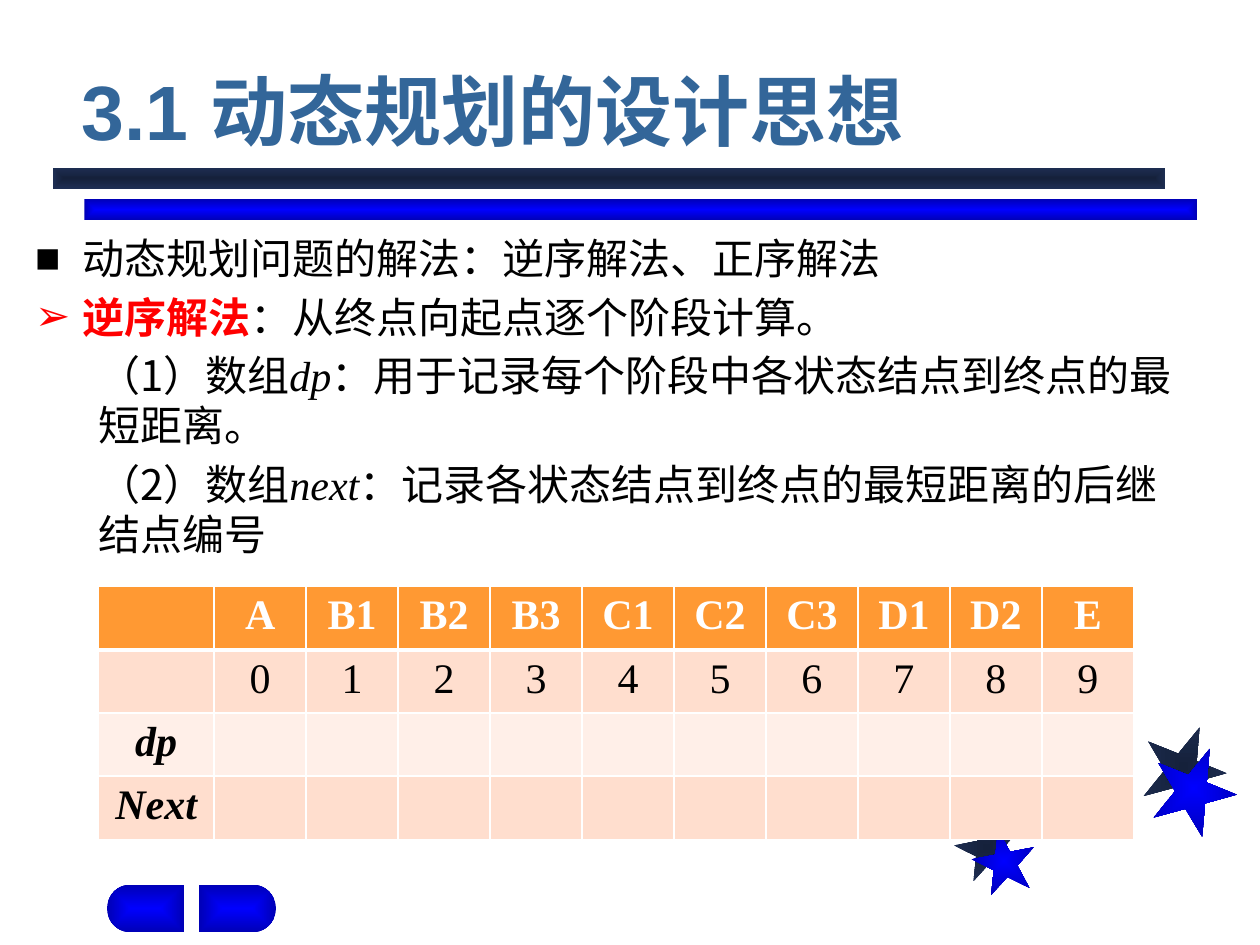
from math import cos, pi, sin

from pptx import Presentation
from pptx.dml.color import RGBColor
from pptx.enum.shapes import MSO_SHAPE as Shape
from pptx.enum.text import MSO_ANCHOR as Anchor, PP_ALIGN as Align
from pptx.oxml import parse_xml
from pptx.oxml.ns import nsdecls, qn
from pptx.util import Inches, Pt

# Content
TITLE = "3.1 动态规划的设计思想"
SANS, SERIF, CJK = "Arial", "Times New Roman", "Noto Sans CJK SC"
RED = {"color": "red", "bold": True}
ITALIC = {"font": SERIF, "italic": True}
# Each body paragraph: bullet, then spans of (text, format)
BODY = [
    ("■", [("动态规划问题的解法：逆序解法、正序解法", {})]),
    ("➢", [("逆序解法", RED), ("：从终点向起点逐个阶段计算。", {})]),
    (None, [("（1）数组", {}), ("dp", ITALIC), ("：", {"font": SERIF}),
            ("用于记录每个阶段中各状态结点到终点的最短距离。", {})]),
    (None, [("（2）数组", {}), ("next", ITALIC), ("：", {"font": SERIF}),
            ("记录各状态结点到终点的最短距离的后继结点编号", {})]),
]
STATES = ["A", "B1", "B2", "B3", "C1", "C2", "C3", "D1", "D2", "E"]
BLANKS = [""] * len(STATES)
ROWS = [
    ["", *STATES],
    ["", *map(str, range(len(STATES)))],
    ["dp", *BLANKS],
    ["Next", *BLANKS],
]
COLORS = {
    "title": "336699", "black": "000000", "white": "FFFFFF", "red": "FF0000",
    "header": "FF9933", "odd": "FFDECE", "even": "FFEFE8",
}
GRADIENTS = {"navy": ("15213B", "1E2E53"), "blue": ("0000FF", "0000B6")}
# Decorations: shape, gradient, left, top, width, height, rotation
DECORATIONS = [
    (Shape.STAR_5_POINT, "navy", 7.58, 6.47, 0.5, 0.5, 349),
    (Shape.STAR_5_POINT, "navy", 9.06, 5.75, 0.67, 0.67, 22),
    (Shape.STAR_5_POINT, "blue", 7.72, 6.58, 0.5, 0.5, 349),
    (Shape.STAR_5_POINT, "blue", 9.14, 5.92, 0.67, 0.67, 22),
    (Shape.RECTANGLE, "blue", 0.67, 1.58, 8.83, 0.17, 0),
    (Shape.RECTANGLE, "navy", 0.42, 1.33, 8.83, 0.17, 0),
]
# Half pills: flat edge, direction of the round end
PILLS = [(1.46, -1), (1.58, 1)]
PILL_TOP, PILL_WIDTH, PILL_HEIGHT = 7.02, 0.61, 0.38


def add_text(para, text, size=24, font=CJK, color="black", bold=False, italic=False):
    span = para.add_run()
    span.text = text
    style = span.font
    style.size, style.name, style.bold, style.italic = Pt(size), font, bold, italic
    style.color.rgb = RGBColor.from_string(COLORS[color])
    latin = span._r.rPr.find(qn("a:latin"))
    latin.addnext(parse_xml(f'<a:ea {nsdecls("a")} typeface="{CJK}"/>'))


def paint(shape, gradient, kind="shape"):
    shape.shadow.inherit = False
    shape.line.fill.background()
    shape.fill.gradient()
    for stop, color in zip(shape.fill.gradient_stops, GRADIENTS[gradient]):
        stop.color.rgb = RGBColor.from_string(color)
    linear = shape._element.spPr.find(qn("a:gradFill")).find(qn("a:lin"))
    linear.addprevious(parse_xml(
        f'<a:path {nsdecls("a")} path="{kind}">'
        '<a:fillToRect l="50000" t="50000" r="50000" b="50000"/></a:path>'))
    linear.getparent().remove(linear)


def add_box(page, left, top, width, height, margin_top=0.05, margin_bottom=0.05):
    box = page.shapes.add_textbox(*map(Inches, (left, top, width, height)))
    frame = box.text_frame
    frame.word_wrap = True
    frame.margin_top, frame.margin_bottom = Inches(margin_top), Inches(margin_bottom)
    return frame


def set_bullet(para, bullet):
    props = para._p.get_or_add_pPr()
    margin, indent = (0.38, -0.38) if bullet else (0.5, 0)
    props.set("marL", str(Inches(margin)))
    props.set("indent", str(Inches(indent)))
    if bullet:
        props.append(parse_xml(f'<a:buFont {nsdecls("a")} typeface="{SANS}"/>'))
        props.append(parse_xml(f'<a:buChar {nsdecls("a")} char="{bullet}"/>'))


def set_borders(cell, bottom):
    props = cell._tc.get_or_add_tcPr()
    for index, (side, width) in enumerate([("L", 1), ("R", 1), ("T", 1), ("B", bottom)]):
        props.insert(index, parse_xml(
            f'<a:ln{side} {nsdecls("a")} w="{Pt(width)}"><a:solidFill>'
            f'<a:srgbClr val="{COLORS["white"]}"/></a:solidFill></a:ln{side}>'))


def add_pill(page, edge, direction):
    radius, steps = PILL_HEIGHT / 2, 20
    center = edge + direction * (PILL_WIDTH - radius)
    middle = PILL_TOP + radius
    angles = [pi * step / steps - pi / 2 for step in range(steps + 1)]
    points = [(center + direction * radius * cos(a), middle + radius * sin(a)) for a in angles]
    points.append((edge, PILL_TOP + PILL_HEIGHT))
    builder = page.shapes.build_freeform(Inches(edge), Inches(PILL_TOP))
    builder.add_line_segments([(Inches(x), Inches(y)) for x, y in points], close=True)
    paint(builder.convert_to_shape(), "blue", "rect")


def add_states_table(page):
    table = page.shapes.add_table(
        len(ROWS), len(ROWS[0]), *map(Inches, (0.78, 4.65, 8.26, 1.92))).table
    for index, column in enumerate(table.columns):
        column.width = Inches(0.73 if index else 0.92)
    for r, values in enumerate(ROWS):
        header = r == 0
        table.rows[r].height = Inches(0.51 if header else 0.47)
        fill = "header" if header else "odd" if r % 2 else "even"
        for c, value in enumerate(values):
            cell = table.cell(r, c)
            cell.fill.solid()
            cell.fill.fore_color.rgb = RGBColor.from_string(COLORS[fill])
            set_borders(cell, 3 if header else 1)
            if value:
                para = cell.text_frame.paragraphs[0]
                para.alignment = Align.CENTER
                add_text(para, value, font=SERIF, color="white" if header else "black",
                         bold=header or c == 0, italic=c == 0)


def main():
    deck = Presentation()
    deck.slide_width, deck.slide_height = Inches(10), Inches(7.5)
    page = deck.slides.add_slide(deck.slide_layouts[6])

    # Stars, rules and half pills
    for kind, gradient, *place, rotation in DECORATIONS:
        shape = page.shapes.add_shape(kind, *map(Inches, place))
        shape.rotation = rotation
        paint(shape, gradient)
    for edge, direction in PILLS:
        add_pill(page, edge, direction)

    # Body text
    frame = add_box(page, 0.18, 1.78, 9.39, 2.71, margin_top=0.07)
    for index, (bullet, spans) in enumerate(BODY):
        para = frame.add_paragraph() if index else frame.paragraphs[0]
        para.line_spacing = Pt(28.5)
        para.space_before = Pt(5 if index else 0)
        set_bullet(para, bullet)
        for text, style in spans:
            add_text(para, text, **style)

    add_states_table(page)

    # Title
    frame = add_box(page, 0.55, 0.34, 8.5, 0.92, margin_bottom=0.02)
    frame.vertical_anchor = Anchor.BOTTOM
    add_text(frame.paragraphs[0], TITLE, size=44, font=SANS, color="title", bold=True)

    deck.save("out.pptx")


if __name__ == "__main__":
    main()
